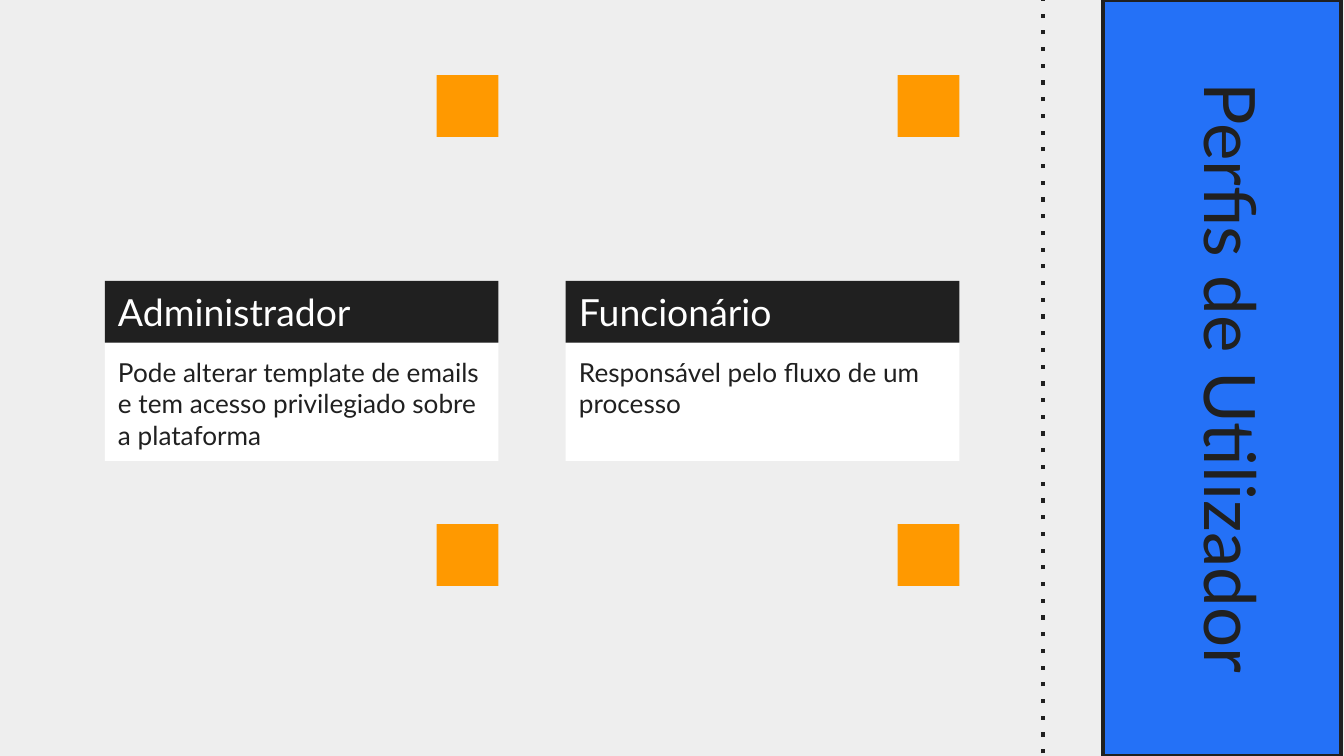
from lxml.etree import SubElement
from pptx import Presentation
from pptx.dml.color import RGBColor
from pptx.enum.shapes import MSO_CONNECTOR, MSO_SHAPE
from pptx.enum.text import MSO_ANCHOR, PP_ALIGN
from pptx.oxml.ns import qn
from pptx.util import Inches, Pt

DARK, BLUE, ORANGE, WHITE, GREY = "202020", "2471F7", "FF9900", "FFFFFF", "EEEEEE"
PAGE_WIDTH = 10
PAGE_HEIGHT = PAGE_WIDTH * 9 / 16
SQUARE = 0.46
CARD_WIDTH, HEADER_HEIGHT, BODY_HEIGHT = 2.93, 0.46, 0.88
CARD_TOP = 2.09
CARDS = [
    (0.78, "Administrador",
     "Pode alterar template de emails e tem acesso privilegiado sobre a plataforma"),
    (4.21, "Funcionário", "Responsável pelo fluxo de um processo"),
]


def color(value):
    return RGBColor.from_string(value)


def set_all(target, values):
    for name, value in values.items():
        setattr(target, name, value)


def add_rect(page, left, top, width, height, fill, line=None):
    rect = page.shapes.add_shape(
        MSO_SHAPE.RECTANGLE, Inches(left), Inches(top), Inches(width), Inches(height))
    rect.shadow.inherit = False
    rect.fill.solid()
    rect.fill.fore_color.rgb = color(fill)
    if line:
        rect.line.color.rgb = color(line)
        rect.line.width = Pt(2.25)
    else:
        rect.line.fill.background()
    return rect


def write(shape, text, size, ink, margins, anchor, align=PP_ALIGN.LEFT, spacing=1.0):
    """Fill a shape with one paragraph; margins are left, top, right, bottom."""
    frame = shape.text_frame
    sides = ("margin_left", "margin_top", "margin_right", "margin_bottom")
    set_all(frame, dict(zip(sides, map(Inches, margins))))
    set_all(frame, {"word_wrap": True, "vertical_anchor": anchor})
    para = frame.paragraphs[0]
    set_all(para, {"alignment": align, "line_spacing": spacing})
    span = para.add_run()
    span.text = text
    set_all(span.font, {"name": "Lato", "size": Pt(size), "bold": False})
    span.font.color.rgb = color(ink)


def add_card(page, left, top, heading, description):
    """Place a profile card with an orange square above and below its right end."""
    square_left = left + CARD_WIDTH - SQUARE
    for offset in (-1.53, 1.81):
        add_rect(page, square_left, top + offset, SQUARE, SQUARE, ORANGE)
    body = add_rect(page, left, top + HEADER_HEIGHT, CARD_WIDTH, BODY_HEIGHT, WHITE)
    write(body, description, 14, DARK, (0.1, 0.1, 0.1, 0.1), MSO_ANCHOR.TOP)
    header = add_rect(page, left, top, CARD_WIDTH, HEADER_HEIGHT, DARK)
    write(header, heading, 20, WHITE, (0.1, 0.1, 0.4, 0.1), MSO_ANCHOR.MIDDLE)


def add_dotted_line(page, x, start, end):
    line = page.shapes.add_connector(
        MSO_CONNECTOR.STRAIGHT, Inches(x), Inches(start), Inches(x), Inches(end))
    line.line.color.rgb = color(DARK)
    line.line.width = Pt(2.25)
    properties = line.element.spPr
    SubElement(properties.find(qn("a:ln")), qn("a:prstDash"), val="dot")
    SubElement(properties, qn("a:effectLst"))


def add_title_panel(page, left, top, width, height):
    """Draw the blue side panel and turn the slide title to run down it."""
    add_rect(page, left, top, width, height, BLUE, DARK)
    title = page.shapes.title
    title_width, title_height = 4.45, 1.76
    set_all(title, {
        "left": Inches(left + (width - title_width) / 2 + 0.02),
        "top": Inches(top + (height - title_height) / 2),
        "width": Inches(title_width),
        "height": Inches(title_height),
        "rotation": 90,
    })
    write(title, "Perfis de Utilizador", 38, DARK, (0, 0, 0, 0),
          MSO_ANCHOR.MIDDLE, PP_ALIGN.CENTER, 0.8)
    title.element.getparent().append(title.element)  # bring in front of the panel


def main():
    deck = Presentation()
    set_all(deck, {"slide_width": Inches(PAGE_WIDTH), "slide_height": Inches(PAGE_HEIGHT)})
    page = deck.slides.add_slide(deck.slide_layouts.get_by_name("Title Only"))
    page.background.fill.solid()
    page.background.fill.fore_color.rgb = color(GREY)
    add_dotted_line(page, 7.76, 5.73, -0.11)
    for left, heading, description in CARDS:
        add_card(page, left, CARD_TOP, heading, description)
    add_title_panel(page, 8.21, 0, 1.77, PAGE_HEIGHT)
    deck.save("out.pptx")


if __name__ == "__main__":
    main()
